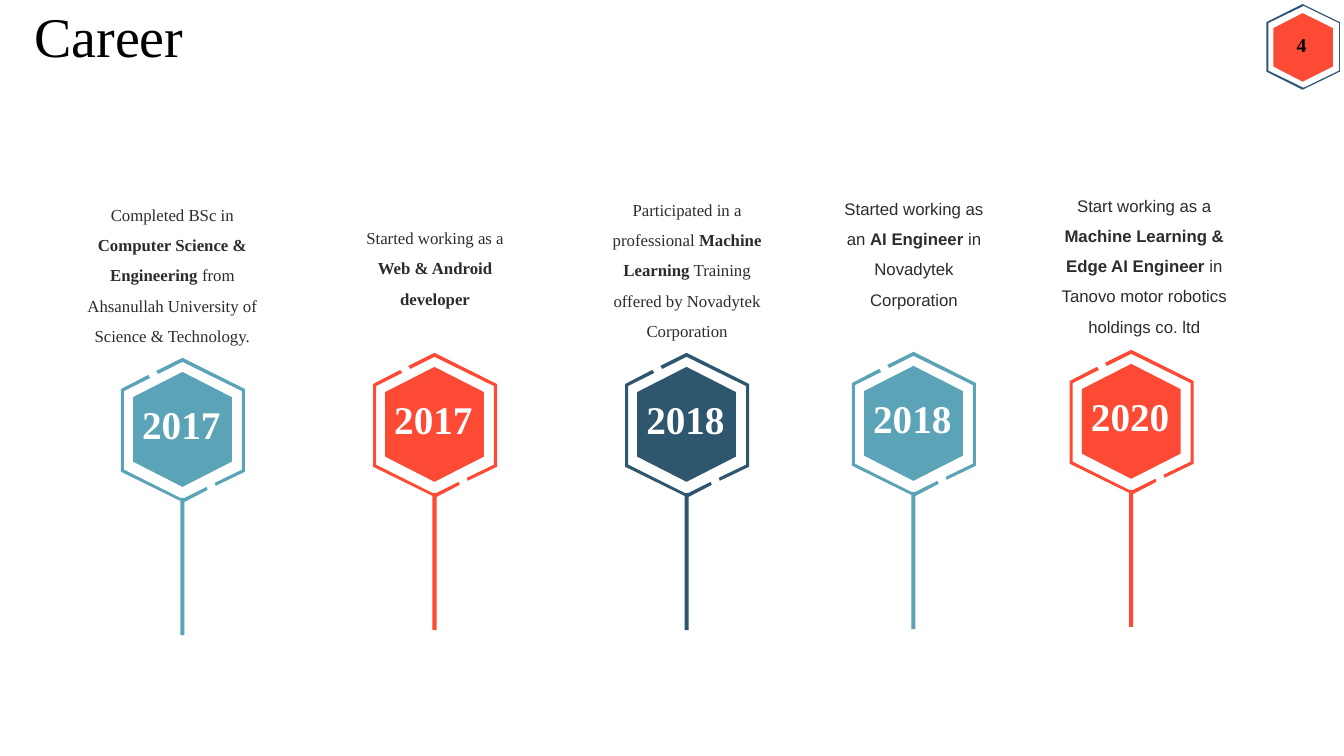
from dataclasses import dataclass
from typing import Any

from pptx import Presentation
from pptx import slide as sl
from pptx import util as u
from pptx.dml import color as c
from pptx.enum import text as t
from pptx.text import text as tx

Contour = list[tuple[float, float]]


@dataclass(frozen=True)
class Theme:
    teal: str = "5BA3B6"
    red: str = "FD4A35"
    navy: str = "2F566F"
    badge_edge: str = "2F5679"
    white: str = "FFFFFF"
    black: str = "000000"
    caption: str = "2C2C2C"
    serif: str = "Times New Roman"
    sans: str = "Arial"
    title_size: int = 40
    year_size: int = 28
    number_size: int = 14
    caption_size: int = 12


@dataclass(frozen=True)
class Box:
    left: float
    top: float
    width: float
    height: float


@dataclass(frozen=True)
class Milestone:
    year: str
    left: float
    top: float
    fill: str
    font: str
    caption_box: Box
    caption: tuple[str, ...]


THEME = Theme()
HUNDREDTH = u.Inches(0.01)


def hexagon(left: float, top: float, width: float, height: float) -> Contour:
    shoulder = 0.215 * height
    right, bottom, middle = left + width, top + height, left + width / 2
    return [
        (middle, top), (left, top + shoulder), (left, bottom - shoulder),
        (middle, bottom), (right, bottom - shoulder), (right, top + shoulder),
    ]


POLE_AND_LEFT_EDGE: Contour = [
    (86, 131), (85, 128), (63, 139), (59, 139), (3, 111), (3, 33), (29, 20), (27, 17),
    (0, 31), (0, 113), (59, 142), (59, 275), (63, 275), (63, 143),
]
RIGHT_EDGE: Contour = [
    (123, 31), (61, 0), (35, 13), (37, 16), (61, 4),
    (120, 33), (120, 111), (93, 124), (94, 127), (123, 113),
]
MARKER = [POLE_AND_LEFT_EDGE, hexagon(12, 14, 98, 114), RIGHT_EDGE]

BADGE = [
    (hexagon(1256, 4, 73, 85), THEME.badge_edge),
    (hexagon(1258, 6, 70, 81), THEME.white),
    (hexagon(1263, 13, 59, 68), THEME.red),
]

MILESTONES = [
    Milestone("2017", 1.2, 3.55, THEME.teal, THEME.serif, Box(0.83, 1.92, 1.76, 1.53),
              ("Completed BSc in ", "Computer Science & Engineering ",
               "from Ahsanullah University of Science & Technology.")),
    Milestone("2017", 3.7, 3.5, THEME.red, THEME.serif, Box(3.54, 2.15, 1.55, 0.92),
              ("Started working as a ", "Web & Android developer")),
    Milestone("2018", 6.2, 3.5, THEME.navy, THEME.serif, Box(6.04, 1.87, 1.55, 1.53),
              ("Participated in a professional", " Machine Learning",
               " Training offered by Novadytek Corporation")),
    Milestone("2018", 8.45, 3.49, THEME.teal, THEME.sans, Box(8.29, 1.86, 1.55, 1.23),
              ("Started working as an ", "AI Engineer ", "in Novadytek Corporation")),
    Milestone("2020", 10.61, 3.47, THEME.red, THEME.sans, Box(10.45, 1.83, 1.8, 1.53),
              ("Start working as a ", "Machine Learning & Edge AI Engineer ",
               "in Tanovo motor robotics holdings co. ltd")),
]


def apply_format(target: Any, values: dict[str, Any]) -> None:
    for name, value in values.items():
        setattr(target, name, value)


def place(shape: Any, box: Box) -> None:
    apply_format(shape, {
        "left": u.Inches(box.left), "top": u.Inches(box.top),
        "width": u.Inches(box.width), "height": u.Inches(box.height),
    })


def write_text(frame: tx.TextFrame, runs: tuple[str, ...], font: str, size: int, fill: str,
               bold: bool = False, **paragraph_format: Any) -> None:
    apply_format(frame, {
        "margin_left": 0, "margin_right": 0, "margin_bottom": 0,
        "margin_top": u.Inches(0.01), "word_wrap": True,
        "vertical_anchor": t.MSO_ANCHOR.TOP,
        "auto_size": t.MSO_AUTO_SIZE.SHAPE_TO_FIT_TEXT,
    })
    paragraph = frame.paragraphs[0]
    apply_format(paragraph, {
        "alignment": t.PP_ALIGN.LEFT, "space_before": u.Pt(1), **paragraph_format,
    })
    for index, words in enumerate(runs):
        run = paragraph.add_run()
        run.text = words
        apply_format(run.font, {
            "name": font, "size": u.Pt(size), "bold": bold or index % 2 == 1,
        })
        run.font.color.rgb = c.RGBColor.from_string(fill)


def add_text(slide: sl.Slide, box: Box, *args: Any, **formats: Any) -> None:
    shape = slide.shapes.add_textbox(0, 0, 0, 0)
    place(shape, box)
    write_text(shape.text_frame, *args, **formats)


def add_outline(slide: sl.Slide, contours: list[Contour], fill: str,
                left: float = 0, top: float = 0) -> None:
    builder = slide.shapes.build_freeform(*contours[0][0], scale=HUNDREDTH)
    for index, contour in enumerate(contours):
        if index:
            builder.move_to(*contour[0])
        builder.add_line_segments(contour[1:], close=True)
    shape = builder.convert_to_shape(u.Inches(left), u.Inches(top))
    shape.shadow.inherit = False
    shape.fill.solid()
    shape.fill.fore_color.rgb = c.RGBColor.from_string(fill)
    shape.line.fill.background()


def add_milestone(slide: sl.Slide, milestone: Milestone) -> None:
    add_text(slide, milestone.caption_box, milestone.caption, milestone.font,
             THEME.caption_size, THEME.caption,
             alignment=t.PP_ALIGN.CENTER, line_spacing=1.5)
    add_outline(slide, MARKER, milestone.fill, milestone.left, milestone.top)
    year_box = Box(milestone.left + 0.21, milestone.top + 0.41, 0.81, 0.49)
    add_text(slide, year_box, (milestone.year,), THEME.serif, THEME.year_size,
             THEME.white, bold=True)


def main() -> None:
    presentation = Presentation()
    presentation.slide_width = u.Inches(13.33)
    presentation.slide_height = u.Inches(7.5)
    slide = presentation.slides.add_slide(presentation.slide_layouts[5])

    title = slide.shapes.title
    place(title, Box(0.34, 0.01, 1.51, 0.69))
    write_text(title.text_frame, ("Career",), THEME.serif, THEME.title_size, THEME.black)

    for contour, fill in BADGE:
        add_outline(slide, [contour], fill)
    add_text(slide, Box(12.86, 0.32, 0.14, 0.25), ("4",), THEME.serif,
             THEME.number_size, THEME.black, bold=True)

    for milestone in MILESTONES:
        add_milestone(slide, milestone)

    presentation.save("out.pptx")


if __name__ == "__main__":
    main()
